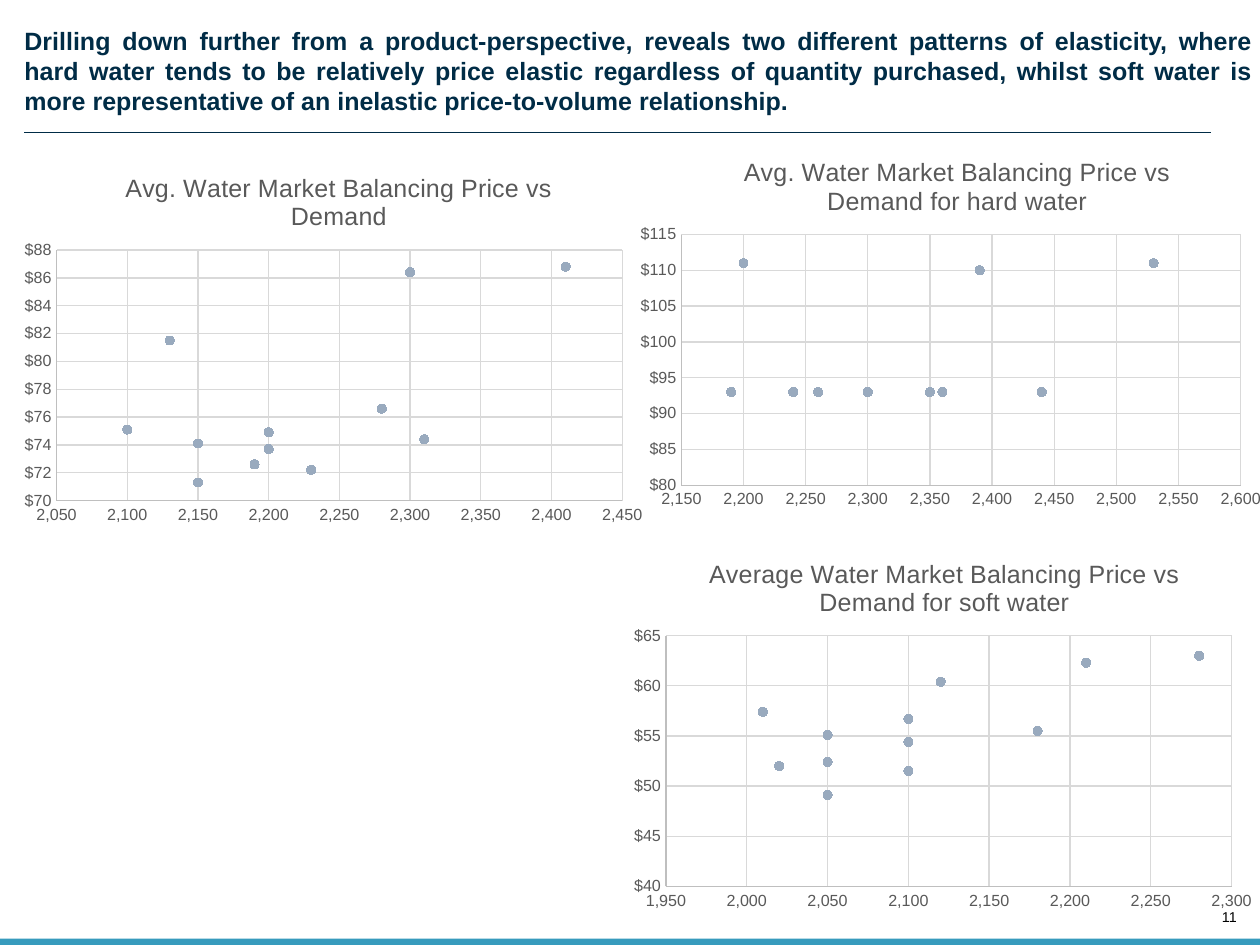
from lxml import etree
from pptx import Presentation, util as u
from pptx.chart.data import XyChartData
from pptx.dml.color import RGBColor
from pptx.enum import chart as ch, shapes, text
from pptx.oxml import parse_xml
from pptx.oxml.ns import nsdecls, qn

HUES = {"navy": "002C46", "teal": "379BBD", "dot": "99AABE", "grid": "D9D9D9",
        "axis": "BFBFBF", "label": "595959", "black": "000000"}
HUE = {name: RGBColor.from_string(code) for name, code in HUES.items()}
WIDE, HIGH = u.Inches(9.8), u.Inches(7.35)
EDGE = u.Inches(0.19)

deck = Presentation()
deck.slide_width, deck.slide_height = WIDE, HIGH
slide = deck.slides.add_slide(deck.slide_layouts[6])


def write(box, words, size, hue, align, bold=False):
    frame = box.text_frame
    frame.margin_left = frame.margin_right = 0
    frame.margin_top = frame.margin_bottom = 0
    para = frame.paragraphs[0]
    para.text = words
    para.alignment = align
    for run in para.runs:
        font = run.font
        font.name, font.size, font.bold = "Arial", u.Pt(size), bold
        font.color.rgb = HUE[hue]
    return frame


def place(title, **shares):
    """Add a manual layout, in shares of the chart, to a chart part."""
    modes = {"x": "edge", "y": "edge"}
    inner = '<c:layoutTarget val="inner"/>' if "w" in shares else ""
    marks = "".join(f'<c:{key}Mode val="{val}"/>' for key, val in modes.items())
    sizes = "".join(f'<c:{key} val="{val}"/>' for key, val in shares.items())
    layout = parse_xml(f'<c:layout {nsdecls("c")}><c:manualLayout>{inner}{marks}'
                       f'{sizes}</c:manualLayout></c:layout>')
    for old in title.findall(qn("c:layout")):
        title.remove(old)
    title.insert(1 if title.find(qn("c:tx")) is not None else 0, layout)


# Page number, footer band, heading and rule
num = slide.shapes.add_textbox(u.Inches(9.48), u.Inches(7.07), u.Inches(0.14), u.Inches(0.13))
frame = write(num, "11", 8, "black", text.PP_ALIGN.RIGHT)
frame.word_wrap = False
frame.vertical_anchor = text.MSO_ANCHOR.BOTTOM

band = slide.shapes.add_shape(shapes.MSO_SHAPE.RECTANGLE, 0, HIGH - u.Inches(0.05),
                              WIDE, u.Inches(0.05))
band.shadow.inherit = False
band.fill.solid()
band.fill.fore_color.rgb = HUE["teal"]
band.line.fill.background()

head = slide.shapes.add_textbox(EDGE, u.Inches(0.2), u.Inches(9.56), u.Inches(0.71))
words = ("Drilling down further from a product-perspective, reveals two different patterns "
         "of elasticity, where\vhard water tends to be relatively price elastic regardless of "
         "quantity purchased, whilst soft water is more representative of an inelastic "
         "price-to-volume relationship.")
write(head, words, 14, "navy", text.PP_ALIGN.JUSTIFY, True).word_wrap = True

rule = slide.shapes.add_connector(shapes.MSO_CONNECTOR.STRAIGHT, EDGE, u.Inches(1.03),
                                  u.Inches(9.42), u.Inches(1.03))
rule.line.color.rgb = HUE["navy"]
rule.line.width = u.Pt(0.75)
etree.SubElement(rule._element.spPr, qn("a:effectLst"))

# Charts: title, left, top, title share, plot shares, x scale, y scale, points
PLOTS = [
    ("Avg. Water Market Balancing Price vs Demand", 0.09, 1.15, 0.17, (0.07, 0.88),
     (2050, 2450, 50), (70, 88, 2),
     [(2300, 86.4), (2410, 86.8), (2130, 81.5), (2190, 72.6), (2150, 71.3), (2230, 72.2),
      (2280, 76.6), (2200, 74.9), (2150, 74.1), (2100, 75.1), (2200, 73.7), (2310, 74.4)]),
    ("Avg. Water Market Balancing Price vs Demand for hard water", 4.9, 1.03, 0.17,
     (0.08, 0.87), (2150, 2600, 50), (80, 115, 5),
     [(2390, 110), (2530, 111), (2200, 111), (2350, 93), (2240, 93), (2360, 93),
      (2440, 93), (2300, 93), (2260, 93), (2190, 93), (2300, 93), (2440, 93)]),
    ("Average Water Market Balancing Price vs Demand for soft water", 4.83, 4.15, 0.13,
     (0.07, 0.88), (1950, 2300, 50), (40, 65, 5),
     [(2210, 62.3), (2280, 63), (2050, 52.4), (2020, 52), (2050, 49.1), (2100, 51.5),
      (2120, 60.4), (2100, 56.7), (2050, 55.1), (2010, 57.4), (2100, 54.4), (2180, 55.5)]),
]

for title, left, top, start, (x, w), xs, ys, points in PLOTS:
    data = XyChartData()
    series = data.add_series("Series 1")
    for point in points:
        series.add_data_point(*point)
    chart = slide.shapes.add_chart(ch.XL_CHART_TYPE.XY_SCATTER, u.Inches(left), u.Inches(top),
                                   u.Inches(5), u.Inches(3), data).chart
    chart.has_legend = False
    chart.font.name, chart.font.size = "Arial", u.Pt(10)
    chart.font.color.rgb = HUE["black"]

    para = chart.chart_title.text_frame.paragraphs[0]
    para.text = title
    font = para.runs[0].font
    font.name, font.size, font.bold = "Arial", u.Pt(14), False
    font.color.rgb = HUE["label"]
    place(chart.chart_title._element, x=start, y=0.05)
    place(chart.plots[0]._element.getparent(), x=x, y=0.265, w=w, h=0.65)

    chart.plots[0].vary_by_categories = False
    dots = chart.plots[0].series[0]
    dots.smooth = False
    dots.format.line.fill.background()
    mark = dots.marker
    mark.style, mark.size = ch.XL_MARKER_STYLE.CIRCLE, 5
    mark.format.fill.solid()
    mark.format.fill.fore_color.rgb = HUE["dot"]
    mark.format.line.color.rgb = HUE["dot"]

    for axis, (low, peak, step), code in ((chart.category_axis, xs, "#,##0"),
                                          (chart.value_axis, ys, '"$"#,##0')):
        axis.minimum_scale, axis.maximum_scale, axis.major_unit = low, peak, step
        axis.major_tick_mark = axis.minor_tick_mark = ch.XL_TICK_MARK.NONE
        axis.has_major_gridlines = True
        for line, hue in ((axis.format.line, "axis"), (axis.major_gridlines.format.line, "grid")):
            line.color.rgb = HUE[hue]
            line.width = u.Pt(0.75)
        labels = axis.tick_labels
        labels.number_format, labels.number_format_is_linked = code, False
        labels.font.name, labels.font.size = "Arial", u.Pt(9)
        labels.font.color.rgb = HUE["label"]

deck.save("out.pptx")
